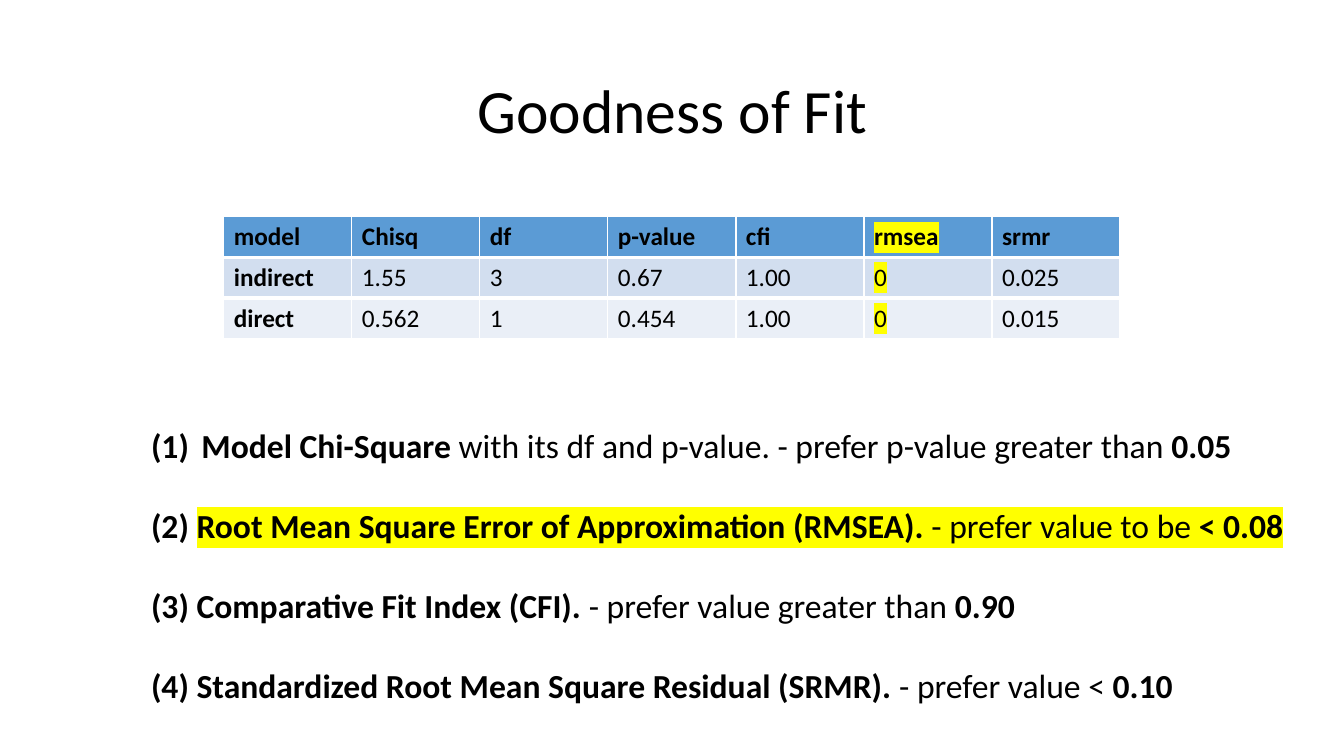
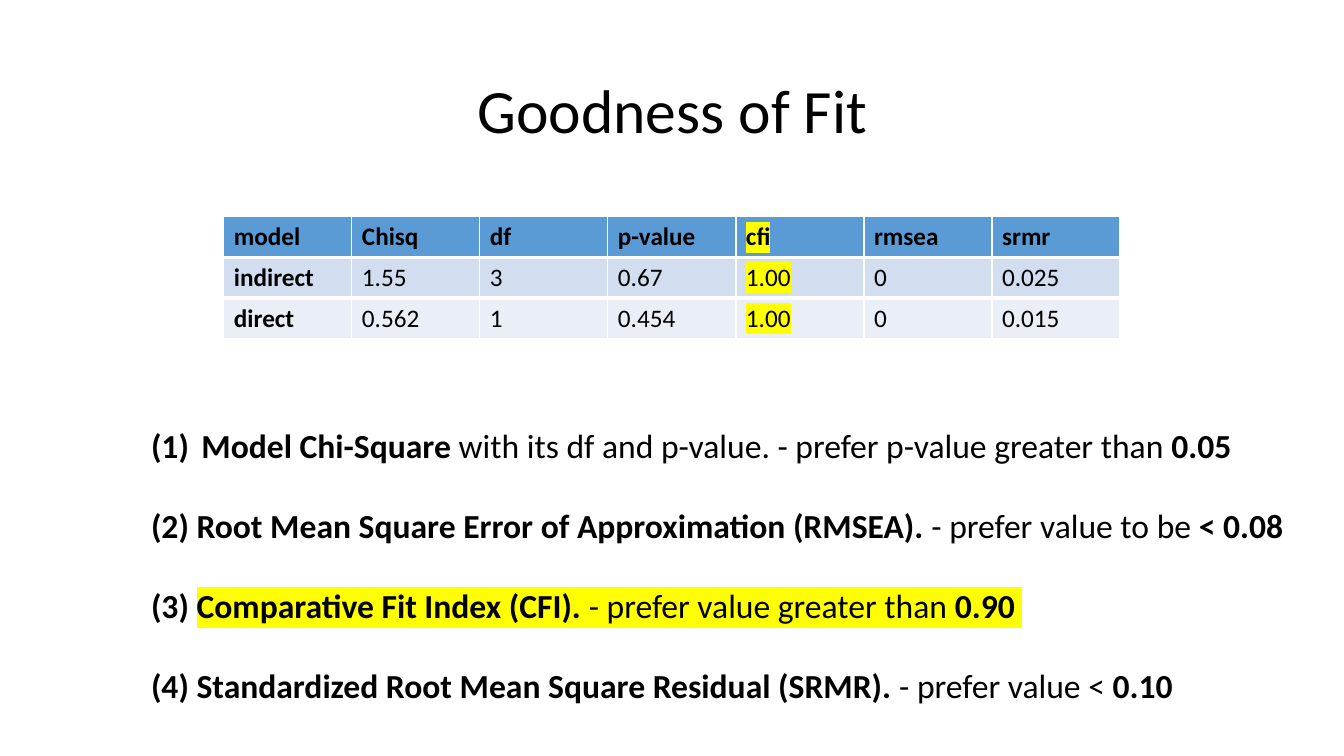
from dataclasses import dataclass
from lxml.etree import SubElement
from pptx import Presentation
from pptx.dml.color import RGBColor
from pptx.enum.text import MSO_ANCHOR, PP_ALIGN
from pptx.oxml import parse_xml
from pptx.oxml.ns import nsdecls, qn
from pptx.util import Inches, Pt


@dataclass(frozen=True)
class Theme:
    """Hold the shared font, type sizes and colours."""
    font: str = "Calibri"
    title: int = 44
    body: int = 24
    cell: int = 18
    ink: str = "000000"
    mark: str = "FFFF00"
    rule: str = "FFFFFF"
    rows: tuple = ("5B9BD5", "D2DEEF", "EAEFF7")


THEME = Theme()
TITLE = "Goodness of Fit"
DATA = (
    ("model", "Chisq", "df", "p-value", "cfi", "rmsea", "srmr"),
    ("indirect", "1.55", "3", "0.67", "1.00", "0", "0.025"),
    ("direct", "0.562", "1", "0.454", "1.00", "0", "0.015"),
)
RULES = (
    ("", "Model Chi-Square ", "with its df and p-value. - prefer p-value greater than ", "0.05"),
    ("(2) ", "Root Mean Square Error of Approximation (RMSEA). ", "- prefer value to be ", "< 0.08"),
    ("(3) ", "Comparative Fit Index (CFI). ", "- prefer value greater than ", "0.90 "),
    ("(4) ", "Standardized Root Mean Square Residual (SRMR). ", "- prefer value < ", "0.10"),
)
FOCUS = (("rmsea", 1), ("cfi", 2))


def style(para, size):
    """Set the shared font on a paragraph."""
    font = para.font
    font.name, font.size = THEME.font, Pt(size)
    font.color.rgb = RGBColor.from_string(THEME.ink)


def add_run(para, text, bold=False, lit=False):
    """Add a run, bold or highlighted on request."""
    run = para.add_run()
    run.text = text
    run.font.bold = bold
    if lit:
        glow = SubElement(run.font._element, qn("a:highlight"))
        SubElement(glow, qn("a:srgbClr"), val=THEME.mark)


def add_box(slide, left, top, width, height):
    """Add a wrapping text box and return its frame."""
    box = slide.shapes.add_textbox(*map(Inches, (left, top, width, height)))
    box.text_frame.word_wrap = True
    return box.text_frame


def add_title(slide):
    """Add the centred slide title."""
    frame = add_box(slide, 0.92, 0.4, 11.5, 1.45)
    frame.vertical_anchor = MSO_ANCHOR.MIDDLE
    para = frame.paragraphs[0]
    style(para, THEME.title)
    para.alignment, para.line_spacing = PP_ALIGN.CENTER, 0.9
    add_run(para, TITLE)


def add_edge(cell, side, width):
    """Draw one border of a cell."""
    cell._tc.get_or_add_tcPr().insert(0, parse_xml(
        f'<a:{side} {nsdecls("a")} w="{Pt(width)}"><a:solidFill>'
        f'<a:srgbClr val="{THEME.rule}"/></a:solidFill></a:{side}>'))


def add_grid(slide, focus):
    """Add the fit table with one highlighted column."""
    count, wide = len(DATA), len(DATA[0])
    grid = slide.shapes.add_table(
        count, wide, Inches(2.22), Inches(2.15), Inches(1.27 * wide), Inches(1.21)).table
    grid.first_row = grid.horz_banding = False
    for row, (values, fill) in enumerate(zip(DATA, THEME.rows)):
        for col, text in enumerate(values):
            cell = grid.cell(row, col)
            cell.fill.solid()
            cell.fill.fore_color.rgb = RGBColor.from_string(fill)
            para = cell.text_frame.paragraphs[0]
            style(para, THEME.cell)
            add_run(para, text, row == 0 or col == 0, DATA[0][col] == focus)
            if row < 2:
                add_edge(cell, ("lnB", "lnT")[row], 3)


def number(para):
    """Give a paragraph an automatic number in brackets."""
    props = para._p.get_or_add_pPr()
    props.set("marL", str(Inches(0.5)))
    props.set("indent", str(-Inches(0.5)))
    props.insert_element_before(
        parse_xml(f'<a:buAutoNum {nsdecls("a")} type="arabicParenBoth"/>'), "a:defRPr")


def add_rules(slide, focus):
    """Add the list of fit rules with one highlighted."""
    frame = add_box(slide, 1.4, 3.36, 11.54, 4.14)
    frame.margin_top = Inches(0.86)
    for pos, (label, name, text, limit) in enumerate(RULES):
        para = frame.add_paragraph() if pos else frame.paragraphs[0]
        style(para, THEME.body)
        para.space_after = Pt(28.3)
        if label:
            add_run(para, label, True)
        else:
            number(para)
        for part in (name, text, limit):
            add_run(para, part, part != text, pos == focus)


def main():
    """Build and save the slides."""
    deck = Presentation()
    deck.slide_width, deck.slide_height = Inches(13.33), Inches(7.5)
    for column, rule in FOCUS:
        slide = deck.slides.add_slide(deck.slide_layouts[6])
        add_title(slide)
        add_grid(slide, column)
        add_rules(slide, rule)
    deck.save("out.pptx")


if __name__ == "__main__":
    main()
